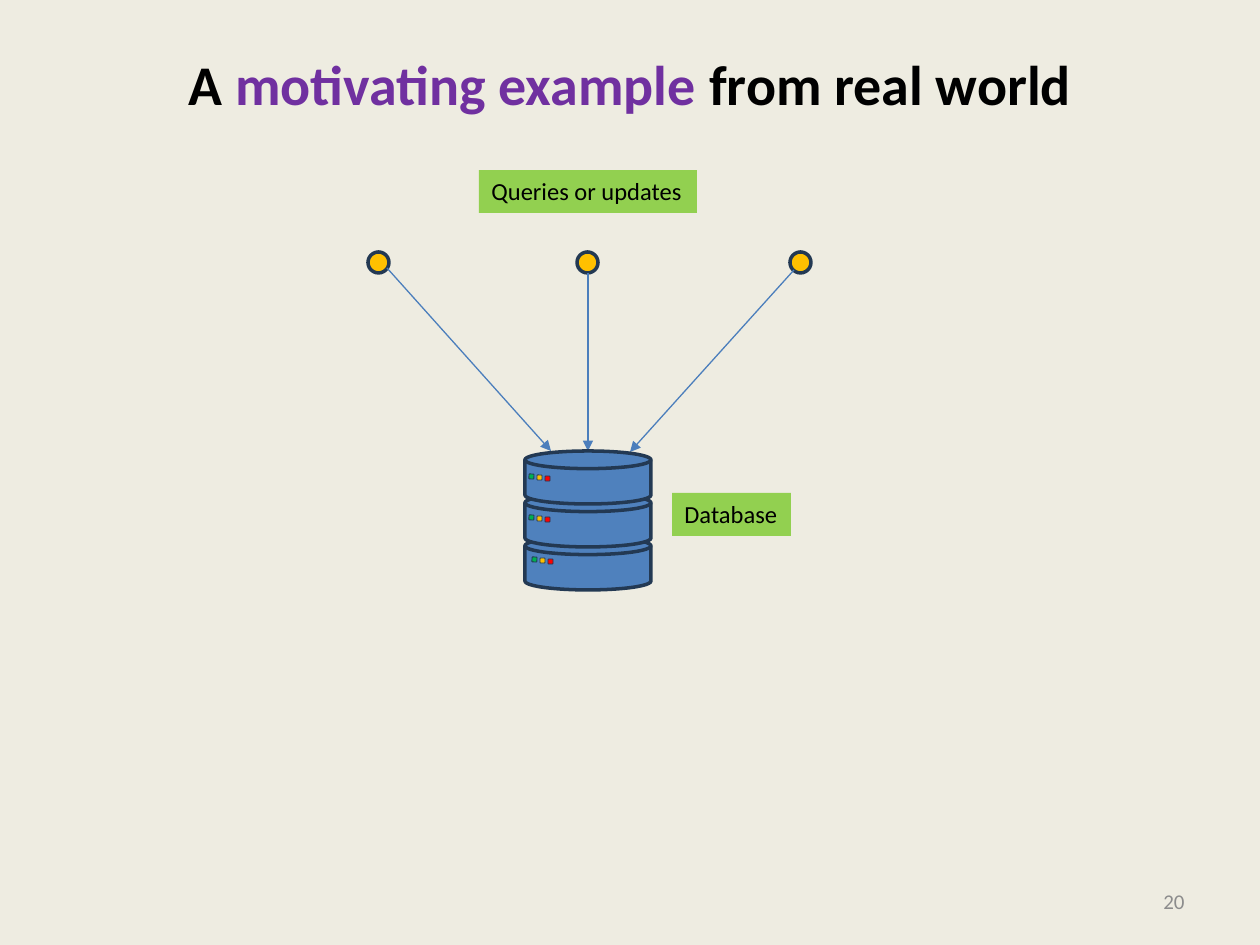
from dataclasses import dataclass

from lxml import etree
from pptx import Presentation
from pptx import util as u
from pptx.dml.color import RGBColor
from pptx.enum import shapes, text
from pptx.oxml.ns import qn

EMU_PER_PX = 914400 / 126
FONT = "Calibri"
OUTLINE = "233953"
ARROW = "4B7EBC"
AMBER = "FFC000"
BLACK = "000000"


@dataclass(frozen=True)
class Box:
    left: int
    top: int
    width: int
    height: int


@dataclass(frozen=True)
class Label:
    wording: str
    box: Box


@dataclass(frozen=True)
class Arrow:
    start: tuple[int, int]
    end: tuple[int, int]


@dataclass(frozen=True)
class Light:
    color: str
    rotation: float


NODE_SIZE = 21
NODE_TOP = 252
NODE_LEFTS = (577, 790, 368)
ARROWS = (
    Arrow((588, 273), (588, 451)),
    Arrow((794, 270), (630, 452)),
    Arrow((387, 268), (551, 451)),
)
DISK = Box(525, 451, 126, 53)
DISK_STEP = 43
DISK_COUNT = 3
LIGHT_SIZE = 5
LIGHT_STEP = 8
LIGHTS = (Light("00B050", 2.8), Light(AMBER, 0), Light("FF0000", 0))
LIGHT_ROWS = ((529, 474), (529, 515), (532, 557))
LABELS = (
    Label("Queries or updates", Box(479, 170, 218, 43)),
    Label("Database", Box(672, 493, 119, 43)),
)


def px(value: int) -> u.Emu:
    return u.Emu(round(value * EMU_PER_PX))


def rgb(color: str) -> RGBColor:
    return RGBColor.from_string(color)


def place(box: Box) -> tuple:
    return px(box.left), px(box.top), px(box.width), px(box.height)


def style_run(run, size: int, color: str, bold: bool = False) -> None:
    run.font.name = FONT
    run.font.size = u.Pt(size)
    run.font.bold = bold
    run.font.color.rgb = rgb(color)


def draw_shape(parent, kind, box: Box, fill: str, line_width: float = 0):
    shape = parent.shapes.add_shape(kind, *place(box))
    shape.shadow.inherit = False
    shape.fill.solid()
    shape.fill.fore_color.rgb = rgb(fill)
    if line_width:
        shape.line.color.rgb = rgb(OUTLINE)
        shape.line.width = u.Pt(line_width)
    else:
        shape.line.fill.background()
    return shape


def draw_arrow(slide, arrow: Arrow) -> None:
    points = [px(value) for value in arrow.start + arrow.end]
    connector = slide.shapes.add_connector(shapes.MSO_CONNECTOR.STRAIGHT, *points)
    connector.line.color.rgb = rgb(ARROW)
    connector.line.width = u.Pt(0.75)
    properties = connector._element.spPr
    line = properties.find(qn("a:ln"))
    etree.SubElement(line, qn("a:tailEnd"), type="triangle")
    etree.SubElement(properties, qn("a:effectLst"))


def draw_database(slide) -> None:
    group = slide.shapes.add_group_shape()
    for index in reversed(range(DISK_COUNT)):
        box = Box(DISK.left, DISK.top + index * DISK_STEP, DISK.width, DISK.height)
        draw_shape(group, shapes.MSO_SHAPE.FLOWCHART_MAGNETIC_DISK, box, "4F81BD", 2)
    for left, top in LIGHT_ROWS:
        for index, light in enumerate(LIGHTS):
            box = Box(left + index * LIGHT_STEP, top + index, LIGHT_SIZE, LIGHT_SIZE)
            shape = draw_shape(
                group, shapes.MSO_SHAPE.ROUNDED_RECTANGLE, box, light.color, 0.5
            )
            shape.rotation = light.rotation


def draw_label(slide, label: Label) -> None:
    shape = draw_shape(slide, shapes.MSO_SHAPE.RECTANGLE, label.box, "92D050")
    frame = shape.text_frame
    frame.word_wrap = False
    frame.vertical_anchor = text.MSO_ANCHOR.TOP
    frame.text = label.wording
    paragraph = frame.paragraphs[0]
    paragraph.alignment = text.PP_ALIGN.LEFT
    style_run(paragraph.runs[0], 14, BLACK)


def add_text_box(slide, box: Box, alignment):
    frame = slide.shapes.add_textbox(*place(box)).text_frame
    frame.word_wrap = True
    frame.vertical_anchor = text.MSO_ANCHOR.MIDDLE
    frame.paragraphs[0].alignment = alignment
    return frame


def draw_title(slide) -> None:
    frame = add_text_box(slide, Box(63, 38, 1134, 157), text.PP_ALIGN.CENTER)
    frame.margin_bottom = px(74)
    parts = (
        ("A", BLACK),
        (" motivating example ", "7030A0"),
        ("from real world", BLACK),
    )
    for wording, color in parts:
        run = frame.paragraphs[0].add_run()
        run.text = wording
        style_run(run, 32, color, bold=True)


def draw_slide_number(slide) -> None:
    frame = add_text_box(slide, Box(903, 876, 294, 50), text.PP_ALIGN.RIGHT)
    paragraph = frame.paragraphs[0]
    paragraph.text = "20"
    style_run(paragraph.runs[0], 12, "8C8C8C")


def main() -> None:
    presentation = Presentation()
    presentation.slide_width = px(1260)
    presentation.slide_height = px(945)
    slide = presentation.slides.add_slide(presentation.slide_layouts[6])
    slide.background.fill.solid()
    slide.background.fill.fore_color.rgb = rgb("EEECE1")

    draw_title(slide)
    draw_slide_number(slide)
    for left in NODE_LEFTS:
        node = Box(left, NODE_TOP, NODE_SIZE, NODE_SIZE)
        draw_shape(slide, shapes.MSO_SHAPE.OVAL, node, AMBER, 2)
    for arrow in ARROWS:
        draw_arrow(slide, arrow)
    draw_database(slide)
    for label in LABELS:
        draw_label(slide, label)
    presentation.save("out.pptx")


if __name__ == "__main__":
    main()
